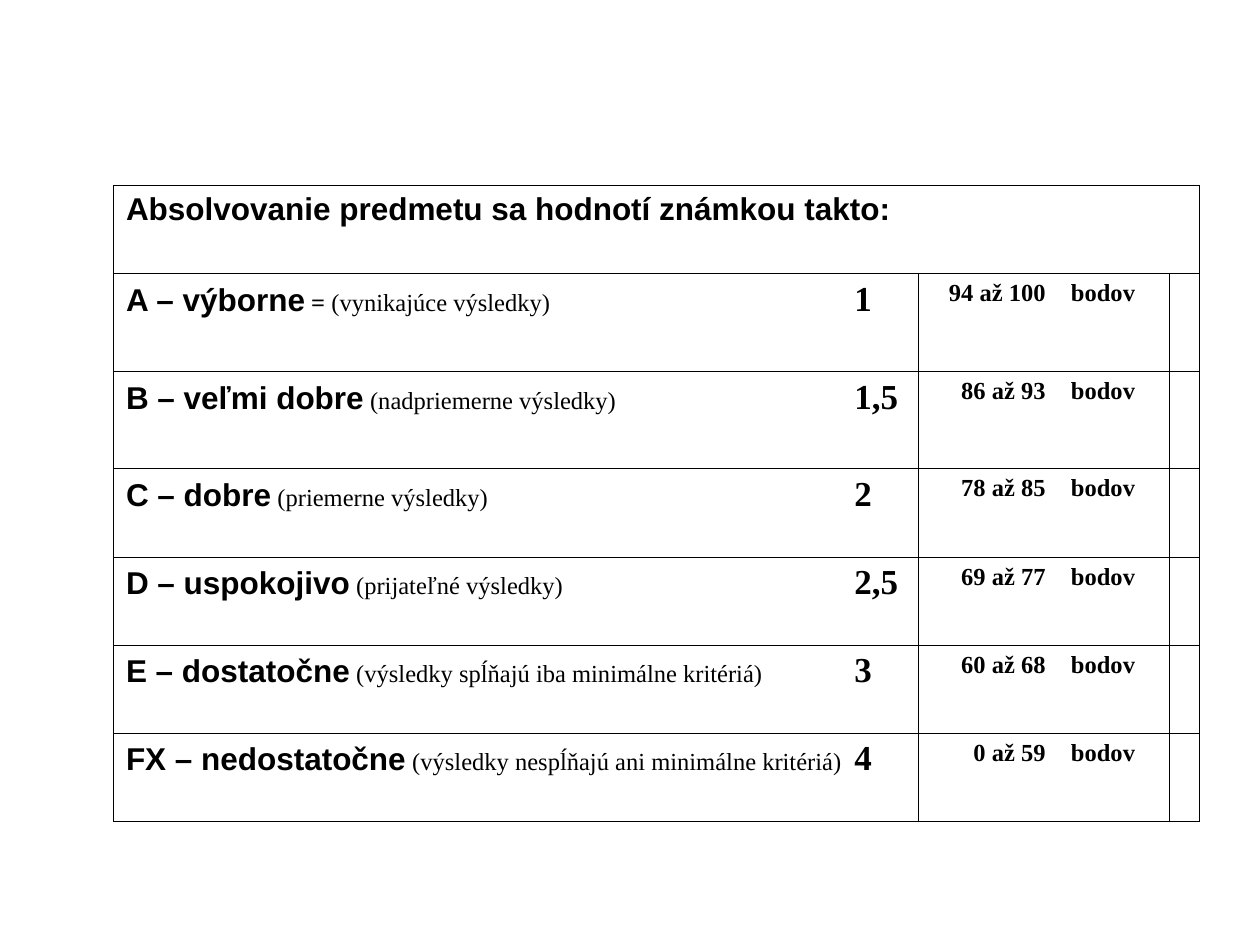
import pptx
import pptx.util
import pptx.dml.color
import pptx.oxml
import pptx.oxml.ns
from lxml import etree
from pptx.util import Inches

COLORS = {"text": "000000", "border": "000000"}
HEADING_FONT = "Arial"
BODY_FONT = "Times New Roman"
COLUMN_WIDTHS = [6.39, 1.99, 0.24]
ROW_HEIGHTS = [0.7, 0.78, 0.77, 0.7, 0.7, 0.7, 0.7]
GRADE_TABS = [(5.78, "l")]
POINTS_TABS = [(0.91, "r"), (1.11, "l")]
TITLE = "Absolvovanie predmetu sa hodnotí známkou takto:"
GRADES = [
    ("A – výborne", " = ", "(vynikajúce výsledky)", "1", "94 až 100"),
    ("B – veľmi dobre", " ", "(nadpriemerne výsledky)", "1,5", "86 až 93"),
    ("C – dobre", " ", "(priemerne výsledky)", "2", "78 až 85"),
    ("D – uspokojivo", " ", "(prijateľné výsledky)", "2,5", "69 až 77"),
    ("E – dostatočne", " ", "(výsledky spĺňajú iba minimálne kritériá)", "3", "60 až 68"),
    ("FX – nedostatočne", " ", "(výsledky nespĺňajú ani minimálne kritériá)", "4", "0 až 59"),
]


def add_text(paragraph, text, size=14, font=BODY_FONT, bold=True):
    run = paragraph.add_run()
    run.text = text
    run.font.size = pptx.util.Pt(size)
    run.font.name = font
    run.font.bold = bold
    run.font.color.rgb = pptx.dml.color.RGBColor.from_string(COLORS["text"])


def set_tabs(paragraph, stops):
    properties = paragraph._p.get_or_add_pPr()
    tab_list = etree.SubElement(properties, pptx.oxml.ns.qn("a:tabLst"))
    for position, alignment in stops:
        etree.SubElement(tab_list, pptx.oxml.ns.qn("a:tab"),
                         pos=str(Inches(position)), algn=alignment)


def format_cell(cell):
    """Give the cell thin borders on all sides and no fill."""
    properties = cell._tc.get_or_add_tcPr()
    for side in ("a:lnL", "a:lnR", "a:lnT", "a:lnB"):
        line = etree.SubElement(properties, pptx.oxml.ns.qn(side),
                                w=str(pptx.util.Pt(0.45)))
        fill = etree.SubElement(line, pptx.oxml.ns.qn("a:solidFill"))
        etree.SubElement(fill, pptx.oxml.ns.qn("a:srgbClr"), val=COLORS["border"])
    cell.fill.background()


def add_grid(slide):
    shape = slide.shapes.add_table(
        len(ROW_HEIGHTS), len(COLUMN_WIDTHS), Inches(0.9), Inches(1.47),
        Inches(sum(COLUMN_WIDTHS)), Inches(sum(ROW_HEIGHTS)))
    table = shape.table
    table.first_row = False
    table.horz_banding = False
    for column, width in zip(table.columns, COLUMN_WIDTHS):
        column.width = Inches(width)
    for row, height in zip(table.rows, ROW_HEIGHTS):
        row.height = Inches(height)
    for cell in table.iter_cells():
        format_cell(cell)
    table.cell(0, 0).merge(table.cell(0, len(COLUMN_WIDTHS) - 1))
    return table


def fill_grade_row(table, row, name, separator, description, grade, points):
    paragraph = table.cell(row, 0).text_frame.paragraphs[0]
    set_tabs(paragraph, GRADE_TABS)
    add_text(paragraph, name, size=18, font=HEADING_FONT)
    add_text(paragraph, separator)
    add_text(paragraph, description + "\t", bold=False)
    add_text(paragraph, grade, size=20)

    paragraph = table.cell(row, 1).text_frame.paragraphs[0]
    set_tabs(paragraph, POINTS_TABS)
    add_text(paragraph, f"\t{points}\tbodov")


def main():
    presentation = pptx.Presentation()
    presentation.slide_width = Inches(10)
    presentation.slide_height = Inches(7.5)
    slide = presentation.slides.add_slide(presentation.slide_layouts[6])
    table = add_grid(slide)
    add_text(table.cell(0, 0).text_frame.paragraphs[0], TITLE,
             size=18, font=HEADING_FONT)
    for row, grade in enumerate(GRADES, start=1):
        fill_grade_row(table, row, *grade)
    presentation.save("out.pptx")


if __name__ == "__main__":
    main()
